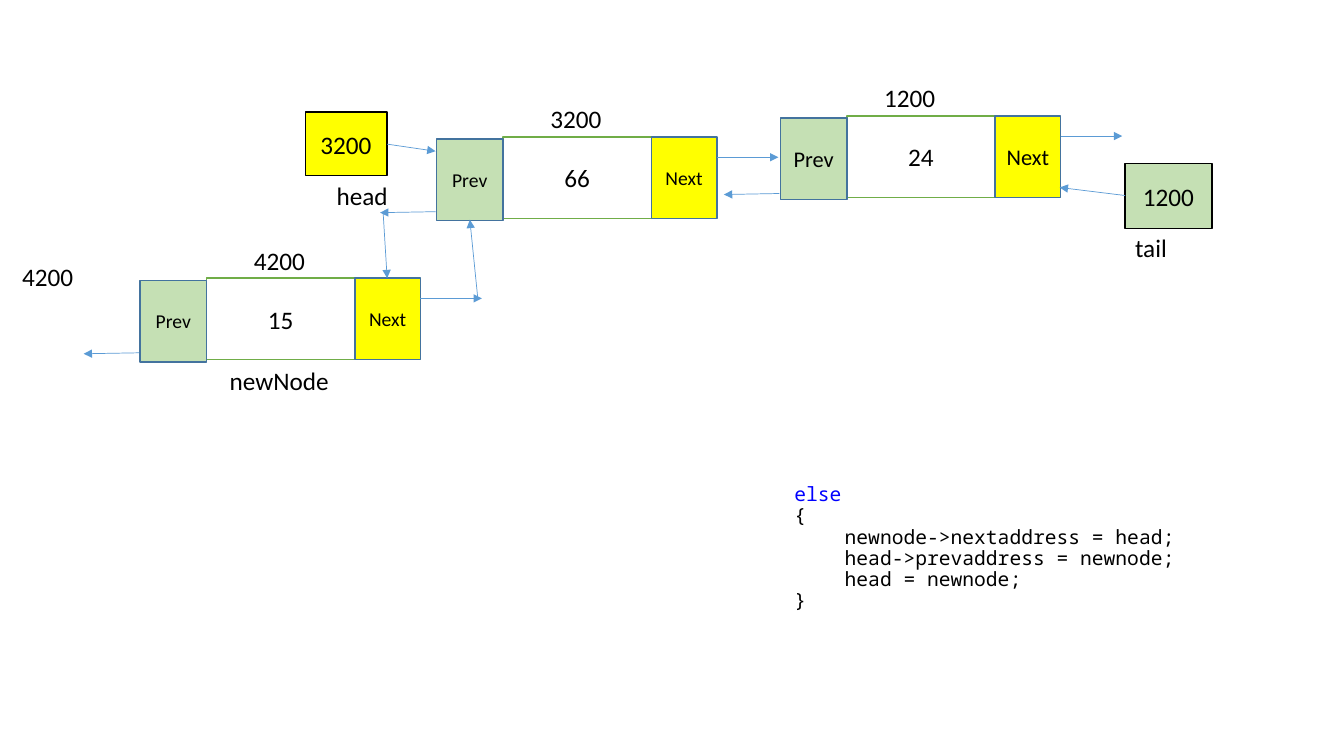
from dataclasses import dataclass

from lxml.etree import SubElement
from pptx import Presentation
from pptx.dml.color import RGBColor
from pptx.enum.shapes import MSO_CONNECTOR, MSO_SHAPE
from pptx.enum.text import MSO_ANCHOR, MSO_AUTO_SIZE, PP_ALIGN
from pptx.oxml.ns import qn
from pptx.util import Inches, Pt


@dataclass(frozen=True)
class Theme:
    """Colours, fonts and type sizes of the slide."""
    black: str = "000000"
    white: str = "FFFFFF"
    yellow: str = "FFFF00"
    pale_green: str = "C5E0B4"
    green_line: str = "70AD47"
    blue_line: str = "43739E"
    arrow: str = "5B9BD5"
    keyword: str = "0000FF"
    body_font: str = "Calibri"
    code_font: str = "Noto Sans Mono"
    body_size: int = 18
    field_size: int = 14
    large_field_size: int = 16
    code_size: int = 14


class ListDiagram:
    """Draws linked-list elements on one slide in one theme."""

    def __init__(self, slide, theme):
        """Keep the slide and its style."""
        self.slide = slide
        self.theme = theme

    def style(self, paragraph, size, font=None, color=None):
        """Set the font of a whole paragraph."""
        paragraph.font.size = Pt(size)
        paragraph.font.name = font or self.theme.body_font
        paragraph.font.color.rgb = RGBColor.from_string(color or self.theme.black)

    def box(self, left, top, width, height, fill, line, text="", size=None):
        """Add an outlined rectangle with centred text."""
        shape = self.slide.shapes.add_shape(
            MSO_SHAPE.RECTANGLE, Inches(left), Inches(top), Inches(width), Inches(height))
        shape.shadow.inherit = False
        shape.fill.solid()
        shape.fill.fore_color.rgb = RGBColor.from_string(fill)
        shape.line.color.rgb = RGBColor.from_string(line)
        shape.line.width = Pt(1)
        if text:
            shape.text_frame.vertical_anchor = MSO_ANCHOR.MIDDLE
            paragraph = shape.text_frame.paragraphs[0]
            paragraph.text = text
            paragraph.alignment = PP_ALIGN.CENTER
            self.style(paragraph, size or self.theme.body_size)

    def label(self, left, top, width, text):
        """Add a one-line caption."""
        shape = self.slide.shapes.add_textbox(
            Inches(left), Inches(top), Inches(width), Inches(0.4))
        shape.text_frame.word_wrap = False
        shape.text_frame.auto_size = MSO_AUTO_SIZE.SHAPE_TO_FIT_TEXT
        paragraph = shape.text_frame.paragraphs[0]
        paragraph.text = text
        self.style(paragraph, self.theme.body_size)

    def arrow(self, start, end):
        """Add a thin line with an arrowhead at its end."""
        connector = self.slide.shapes.add_connector(
            MSO_CONNECTOR.STRAIGHT, *(Inches(length) for length in (*start, *end)))
        connector.line.color.rgb = RGBColor.from_string(self.theme.arrow)
        connector.line.width = Pt(0.5)
        SubElement(connector.line._get_or_add_ln(), qn("a:tailEnd"), type="triangle")
        SubElement(connector._element.spPr, qn("a:effectLst"))

    def node(self, left, top, value, address, field_size, label_shift=0.37, back_drop=0.74):
        """Add a node: value, Next and Prev fields, address and two pointers.

        The position is the top left corner of the value field.
        """
        theme = self.theme
        height = 0.81
        self.box(left, top, 1.47, height, theme.white, theme.green_line, value)
        self.box(left + 1.47, top, 0.65, height, theme.yellow, theme.blue_line,
                 "Next", field_size)
        self.box(left - 0.66, top + 0.02, 0.66, height, theme.pale_green, theme.blue_line,
                 "Prev", field_size)
        self.label(left + label_shift, top - 0.38, 0.71, address)
        self.arrow((left + 2.12, top + 0.2), (left + 2.73, top + 0.2))
        self.arrow((left - 0.67, top + back_drop), (left - 1.22, top + back_drop + 0.01))

    def code(self, left, top, width, height, lines):
        """Add code given as (indent level, text, colour) lines."""
        shape = self.slide.shapes.add_textbox(
            Inches(left), Inches(top), Inches(width), Inches(height))
        frame = shape.text_frame
        frame.word_wrap = True
        for index, (level, text, color) in enumerate(lines):
            paragraph = frame.paragraphs[0] if index == 0 else frame.add_paragraph()
            paragraph.text = text
            paragraph.level = level
            paragraph.line_spacing = 0.9
            properties = paragraph._p.get_or_add_pPr()
            properties.set("marL", str(Inches(0.5 * level)))
            properties.set("indent", "0")
            self.style(paragraph, self.theme.code_size, self.theme.code_font, color)


def main():
    """Build the slide that inserts a node at the head of a doubly linked list."""
    presentation = Presentation()
    presentation.slide_width = Inches(13.33)
    presentation.slide_height = Inches(7.5)
    theme = Theme()
    diagram = ListDiagram(
        presentation.slides.add_slide(presentation.slide_layouts[6]), theme)

    diagram.code(7.28, 4.76, 6.67, 1.51, [
        (1, "else", theme.keyword),
        (1, "{", theme.black),
        (2, "newnode->nextaddress = head;", theme.black),
        (2, "head->prevaddress = newnode;", theme.black),
        (2, "head = newnode;", theme.black),
        (1, "}", theme.black),
    ])

    diagram.node(8.4, 1.15, "24", "1200", theme.large_field_size,
                 label_shift=0.27, back_drop=0.77)
    diagram.node(4.99, 1.36, "66", "3200", theme.field_size)
    diagram.node(2.05, 2.76, "15", "4200", theme.field_size)
    diagram.label(2.18, 3.58, 1.2, "newNode")
    diagram.label(0.12, 2.54, 0.71, "4200")

    diagram.box(11.16, 1.62, 0.86, 0.65, theme.pale_green, theme.black, "1200")
    diagram.label(11.16, 2.26, 0.52, "tail")
    diagram.arrow((11.16, 1.94), (10.51, 1.86))

    diagram.box(3.03, 1.11, 0.81, 0.63, theme.yellow, theme.black)
    diagram.label(3.08, 1.23, 0.71, "3200")
    diagram.label(3.24, 1.74, 0.72, "head")
    diagram.arrow((3.84, 1.43), (4.32, 1.5))

    diagram.arrow((4.74, 2.97), (4.66, 2.18))
    diagram.arrow((3.8, 2.11), (3.84, 2.76))

    presentation.save("out.pptx")


main()
